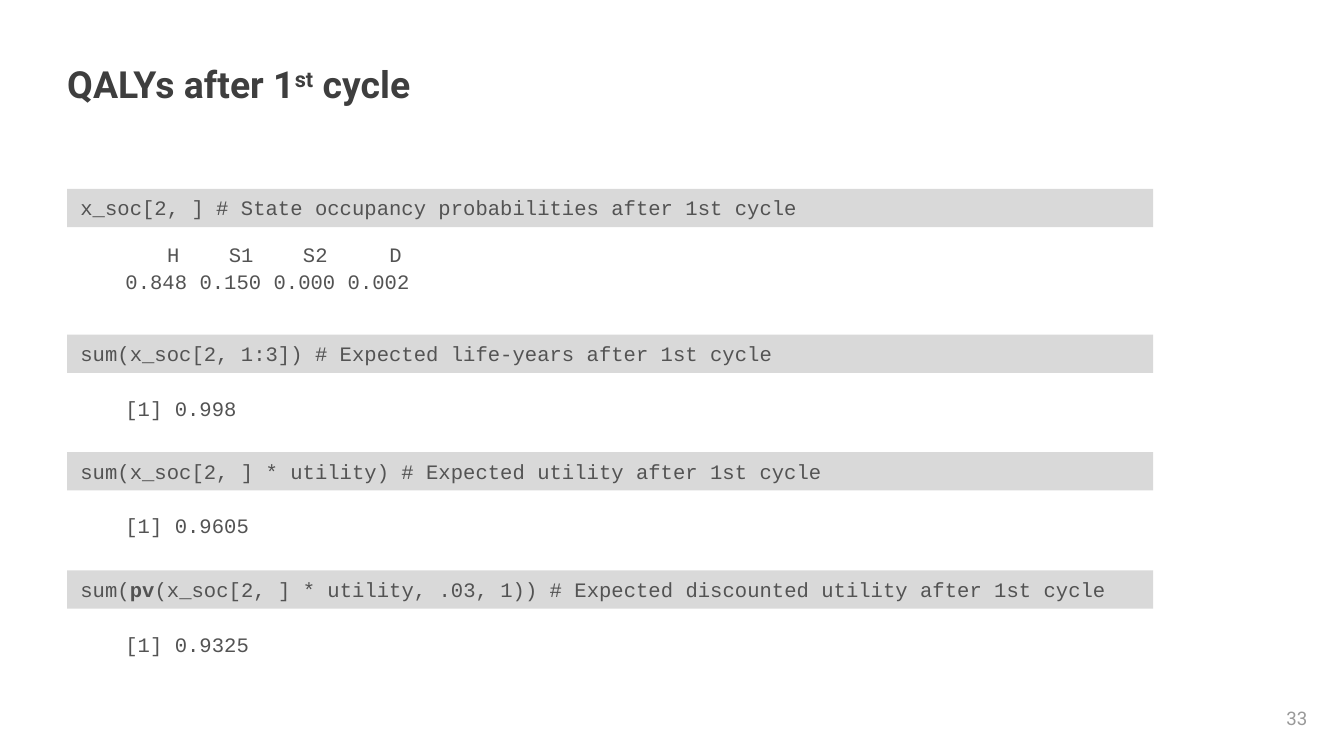
from dataclasses import dataclass

import pptx
import pptx.dml.color
import pptx.enum.shapes
import pptx.enum.text
import pptx.util

RGBColor = pptx.dml.color.RGBColor
Align = pptx.enum.text.PP_ALIGN
Anchor = pptx.enum.text.MSO_ANCHOR
AutoSize = pptx.enum.text.MSO_AUTO_SIZE

TITLE_INK = RGBColor(0x3E, 0x3E, 0x3E)
CODE_INK = RGBColor(0x53, 0x53, 0x53)
NUMBER_INK = RGBColor(0x99, 0x99, 0x99)
BAR_FILL = RGBColor(0xD9, 0xD9, 0xD9)

PX = 4572
CODE_FONT = "Courier New"
TEXT_FONT = "Roboto"
MARGIN = 100
RESULT_LEFT = 167
RESULT_DROP = 81
LINE_HEIGHT = 57


@dataclass(frozen=True)
class Span:
    text: str
    bold: bool = False


@dataclass(frozen=True)
class Step:
    top: int
    code: tuple[Span, ...]
    result: str = ""
    result_width: int = 226


STEPS = (
    Step(281, (Span("x_soc[2, ] # State occupancy probabilities after 1st cycle"),)),
    Step(498, (Span("sum(x_soc[2, 1:3]) # Expected life-years after 1st cycle"),),
         "[1] 0.998", 208),
    Step(673, (Span("sum(x_soc[2, ] * utility) # Expected utility after 1st cycle"),),
         "[1] 0.9605"),
    Step(849, (Span("sum("), Span("pv", True),
               Span("(x_soc[2, ] * utility, .03, 1))"
                    " # Expected discounted utility after 1st cycle")),
         "[1] 0.9325"),
)


def px(*lengths: int) -> list[pptx.util.Emu]:
    return [pptx.util.Emu(length * PX) for length in lengths]


def style(font, name: str, size: int, color: RGBColor, bold: bool = False) -> None:
    font.name = name
    font.size = pptx.util.Pt(size)
    font.color.rgb = color
    font.bold = bold


def add_title(page) -> None:
    title = page.shapes.title
    title.left, title.top, title.width, title.height = px(MARGIN, 0, 1666, 250)
    frame = title.text_frame
    frame.margin_left = frame.margin_right = frame.margin_top = frame.margin_bottom = 0
    frame.vertical_anchor = Anchor.MIDDLE
    para = frame.paragraphs[0]
    para.alignment = Align.LEFT
    style(para.font, TEXT_FONT, 20, TITLE_INK, True)
    for text, baseline in (("QALYs after 1", 0), ("st", 30000), (" cycle", 0)):
        span = para.add_run()
        span.text = text
        if baseline:
            span.font._element.set("baseline", str(baseline))


def add_code(page, step: Step) -> None:
    bar = page.shapes.add_shape(
        pptx.enum.shapes.MSO_SHAPE.RECTANGLE, *px(MARGIN, step.top, 1616, LINE_HEIGHT))
    bar.shadow.inherit = False
    bar.fill.solid()
    bar.fill.fore_color.rgb = BAR_FILL
    bar.line.fill.background()
    frame = bar.text_frame
    frame.word_wrap = True
    frame.auto_size = AutoSize.SHAPE_TO_FIT_TEXT
    frame.vertical_anchor = Anchor.TOP
    para = frame.paragraphs[0]
    para.alignment = Align.LEFT
    style(para.font, CODE_FONT, 11, CODE_INK)
    for part in step.code:
        span = para.add_run()
        span.text = part.text
        if part.bold:
            span.font.bold = True


def add_result(page, step: Step) -> None:
    box = page.shapes.add_textbox(
        *px(RESULT_LEFT, step.top + RESULT_DROP, step.result_width, LINE_HEIGHT))
    frame = box.text_frame
    frame.word_wrap = False
    frame.auto_size = AutoSize.SHAPE_TO_FIT_TEXT
    para = frame.paragraphs[0]
    para.text = step.result
    style(para.font, CODE_FONT, 11, CODE_INK)


def add_probabilities(page) -> None:
    box = page.shapes.add_textbox(*px(RESULT_LEFT, 331, 624, 118))
    frame = box.text_frame
    frame.word_wrap = True
    frame.auto_size = AutoSize.SHAPE_TO_FIT_TEXT
    header = frame.paragraphs[0]
    for text, name, size in (("     ", TEXT_FONT, 18),
                             ("H    S1    S2     D", CODE_FONT, 11)):
        span = header.add_run()
        span.text = text
        style(span.font, name, size, CODE_INK)
    values = frame.add_paragraph()
    values.text = "0.848 0.150 0.000 0.002"
    style(values.font, CODE_FONT, 11, CODE_INK)


def add_page_number(page) -> None:
    box = page.shapes.add_textbox(*px(1857, 1038, 108, 60))
    frame = box.text_frame
    frame.word_wrap = True
    frame.vertical_anchor = Anchor.MIDDLE
    para = frame.paragraphs[0]
    para.text = "33"
    para.alignment = Align.RIGHT
    style(para.font, TEXT_FONT, 10, NUMBER_INK)


def main() -> None:
    deck = pptx.Presentation()
    deck.slide_width, deck.slide_height = px(2000, 1125)
    page = deck.slides.add_slide(deck.slide_layouts[5])
    add_title(page)
    add_page_number(page)
    for step in STEPS:
        add_code(page, step)
    for step in STEPS:
        if step.result:
            add_result(page, step)
    add_probabilities(page)
    deck.save("out.pptx")


if __name__ == "__main__":
    main()
